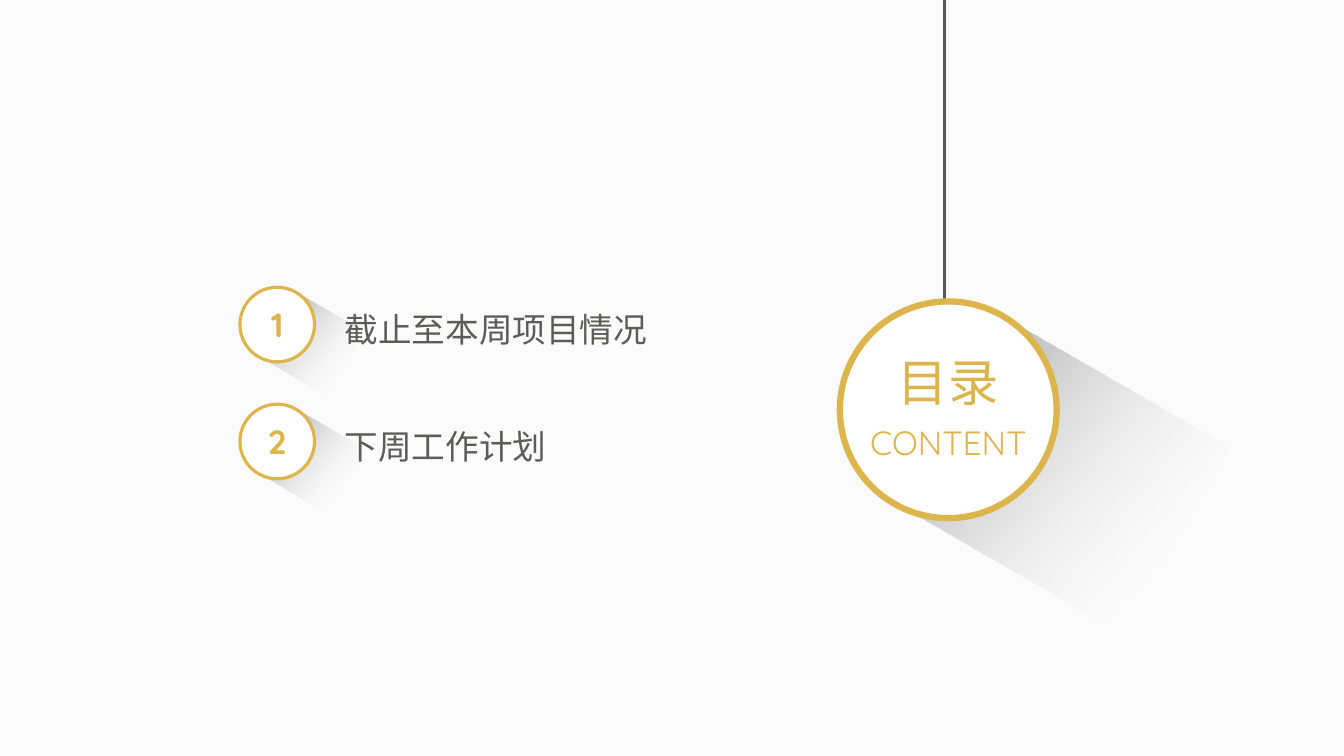
"""Build an agenda slide with a hanging title disc and numbered topics."""
import lxml.etree
import pptx
import pptx.dml.color
import pptx.enum.dml
import pptx.enum.shapes
import pptx.enum.text
import pptx.oxml.ns
import pptx.util

Inches = pptx.util.Inches
SHAPES = pptx.enum.shapes.MSO_SHAPE
ALIGN = pptx.enum.text.PP_ALIGN
qn = pptx.oxml.ns.qn

COLORS = {
    "background": "FBFBFB",
    "gold": "DDB54D",
    "disc": "FFFFFF",
    "cord": "595959",
    "topic": "5C5C5B",
    "shade": "808080",
    "fade": "F8F8F8",
}
TITLE_FONT = "Quicksand"
TOPIC_FONT = "Noto Sans CJK SC"
TOPICS = [("截止至本周项目情况", 3.23), ("下周工作计划", 2.22)]
FIRST_TOP = 2.85
TOPIC_STEP = 1.16


def rgb(name):
    """Return the named colour."""
    return pptx.dml.color.RGBColor.from_string(COLORS[name])


def write(frame, text, size, font, color, align=ALIGN.LEFT, bold=False):
    """Put one formatted paragraph in a text frame and return it."""
    frame.text = text
    para = frame.paragraphs[0]
    para.alignment = align
    span = para.runs[0]
    span.font.size = pptx.util.Pt(size)
    span.font.name = font
    span.font.bold = bold
    span.font.color.rgb = rgb(color)
    east_asian = lxml.etree.Element(qn("a:ea"), typeface=font)
    span.font._element.find(qn("a:latin")).addnext(east_asian)
    return para


def add_label(page, place, text, size, font, color, align=ALIGN.LEFT, wrap=True):
    """Add a text box that grows with its text and return its paragraph."""
    box = page.shapes.add_textbox(*map(Inches, place))
    frame = box.text_frame
    para = write(frame, text, size, font, color, align)
    frame.word_wrap = wrap
    frame.auto_size = pptx.enum.text.MSO_AUTO_SIZE.SHAPE_TO_FIT_TEXT
    return para


def add_long_shadow(shapes, place):
    """Add a tilted rectangle that fades to transparent."""
    shadow = shapes.add_shape(SHAPES.RECTANGLE, *map(Inches, place))
    shadow.shadow.inherit = False
    shadow.rotation = 30
    shadow.line.fill.background()
    shadow.fill.gradient()
    shadow.fill.gradient_angle = 350
    stops = shadow.fill.gradient_stops
    for stop, color, position in zip(stops, ("shade", "fade"), (0, 0.82)):
        stop.color.rgb = rgb(color)
        stop.position = position
    faded = shadow._element.spPr.findall(".//" + qn("a:srgbClr"))[-1]
    lxml.etree.SubElement(faded, qn("a:alpha"), val="0")


def add_disc(shapes, left, top, diameter, border):
    """Add a white disc with a gold border."""
    disc = shapes.add_shape(
        SHAPES.OVAL, Inches(left), Inches(top), Inches(diameter), Inches(diameter)
    )
    disc.shadow.inherit = False
    disc.fill.solid()
    disc.fill.fore_color.rgb = rgb("disc")
    disc.line.color.rgb = rgb("gold")
    disc.line.width = pptx.util.Pt(border)
    return disc


def add_cord(page, x, bottom):
    """Add the vertical cord from the top edge of the slide."""
    cord = page.shapes.add_connector(
        pptx.enum.shapes.MSO_CONNECTOR.STRAIGHT,
        Inches(x), Inches(0), Inches(x), Inches(bottom),
    )
    cord.line.color.rgb = rgb("cord")
    cord.line.width = pptx.util.Pt(2.25)
    lxml.etree.SubElement(cord._element.spPr, qn("a:effectLst"))


def add_title(page):
    """Add the hanging disc with the slide title."""
    add_long_shadow(page.shapes, (9.17, 3.63, 2.67, 2.13))
    add_cord(page, 9.37, 3.52)
    add_disc(page.shapes, 8.33, 2.99, 2.15, 4.5)
    for text, top, height, size in [("目录", 3.31, 0.76, 36), ("CONTENT", 4.06, 0.54, 24)]:
        place = (8.33, top, 2.15, height)
        para = add_label(page, place, text, size, TITLE_FONT, "gold", ALIGN.CENTER)
        para.line_spacing = 1.2


def add_topic(page, number, text, width, top):
    """Add a numbered disc with its topic beside it."""
    badge = page.shapes.add_group_shape()
    add_long_shadow(badge.shapes, (2.67, top + 0.19, 0.81, 0.73))
    disc = add_disc(badge.shapes, 2.38, top, 0.74, 2.25)
    write(disc.text_frame, str(number), 24, TITLE_FONT, "gold", ALIGN.CENTER, True)
    disc.text_frame.vertical_anchor = pptx.enum.text.MSO_ANCHOR.MIDDLE
    place = (3.32, top + 0.17, width, 0.5)
    add_label(page, place, text, 24, TOPIC_FONT, "topic", wrap=False)


def main():
    """Build and save the deck."""
    deck = pptx.Presentation()
    deck.slide_width = Inches(13.33)
    deck.slide_height = Inches(7.5)
    page = deck.slides.add_slide(deck.slide_layouts[6])
    page.background.fill.solid()
    page.background.fill.fore_color.rgb = rgb("background")
    add_title(page)
    for index, (text, width) in enumerate(TOPICS):
        add_topic(page, index + 1, text, width, FIRST_TOP + index * TOPIC_STEP)
    deck.save("out.pptx")


main()
